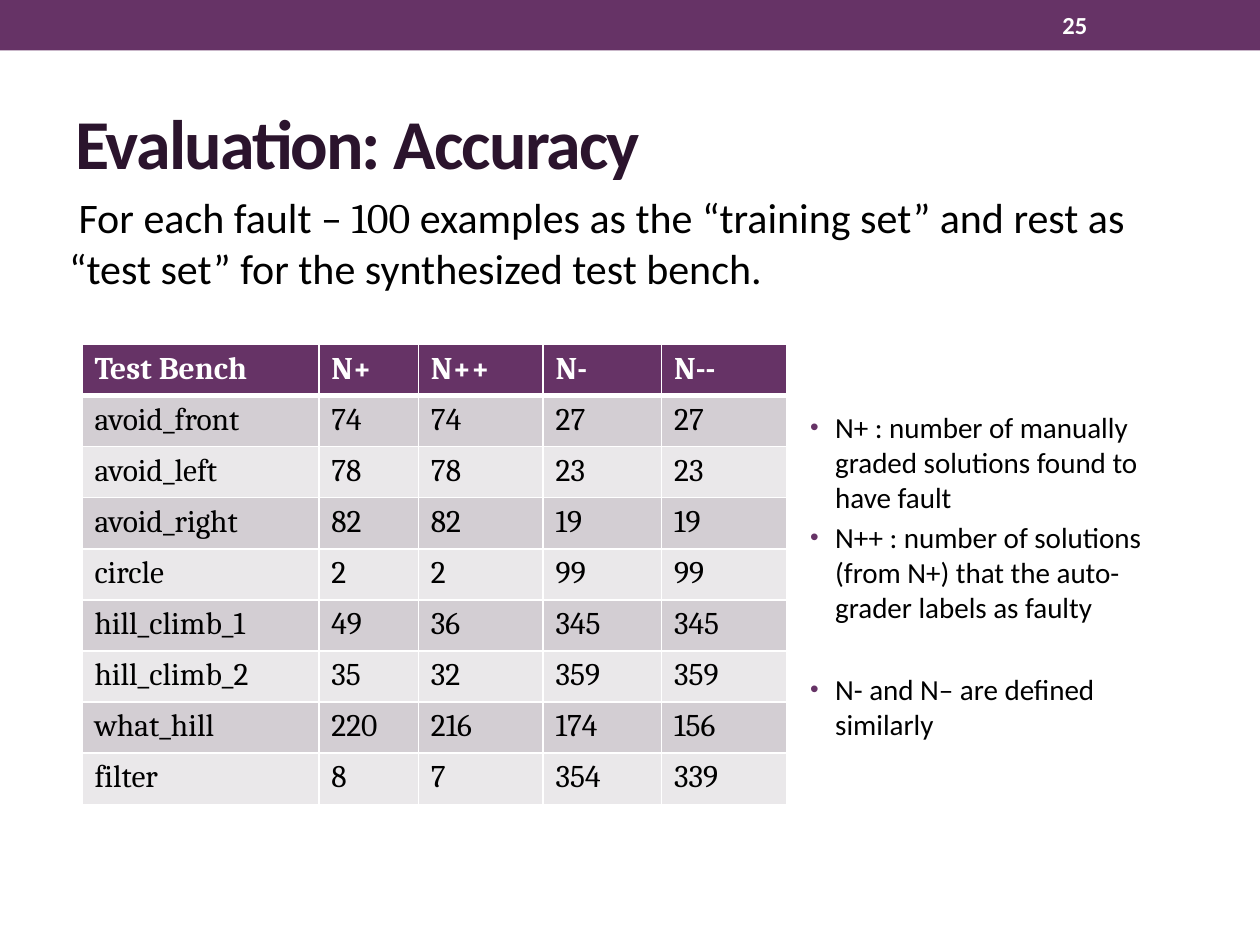
from dataclasses import dataclass
from lxml.etree import SubElement as Sub
from pptx import Presentation
from pptx.dml.color import RGBColor as RGB
from pptx.enum.shapes import MSO_SHAPE as Shape
from pptx.enum.text import MSO_ANCHOR as Anchor
from pptx.oxml.ns import qn
from pptx.util import Pt


@dataclass(frozen=True)
class Theme:
    plum: str = "663366"
    dark: str = "2B142D"
    ink: str = "000000"
    white: str = "FFFFFF"
    bands: tuple = ("D3CED3", "EAE8EA")
    sans: str = "Calibri"
    serif: str = "Cambria"
    title: float = 40
    lead: float = 24
    cell: float = 18
    note: float = 16.6
    page: float = 14


T = Theme()
HEAD = ["Test Bench", "N+", "N++", "N-", "N--"]
DATA = [
    ["avoid_front", 74, 74, 27, 27],
    ["avoid_left", 78, 78, 23, 23],
    ["avoid_right", 82, 82, 19, 19],
    ["circle", 2, 2, 99, 99],
    ["hill_climb_1", 49, 36, 345, 345],
    ["hill_climb_2", 35, 32, 359, 359],
    ["what_hill", 220, 216, 174, 156],
    ["filter", 8, 7, 354, 339],
]
COLS = [135.4, 56.9, 71.3, 67.7, 71.3]
NOTES = [
    ("N+ : number of manually graded solutions found to have fault", 0),
    ("N++ : number of solutions (from N+) that the auto-grader labels as faulty", 3.3),
    ("N- and N– are defined similarly", 26.8),
]
LEAD = [
    ("For each fault – ", T.sans),
    ("100", T.serif),
    (" examples as the “training set” and rest as “test set” for the synthesized test bench.", T.sans),
]


def style(run, size, color, face=T.sans, bold=False):
    font = run.font
    font.name, font.size, font.bold = face, Pt(size), bold
    font.color.rgb = RGB.from_string(color)


def add_box(slide, box, anchor=Anchor.TOP):
    frame = slide.shapes.add_textbox(*map(Pt, box)).text_frame
    frame.word_wrap = True
    frame.vertical_anchor = anchor
    return frame


def add_label(slide, box, text, size, color):
    frame = add_box(slide, box, Anchor.MIDDLE)
    frame.text = text
    run = frame.paragraphs[0].runs[0]
    style(run, size, color, bold=True)
    return run


def add_band(slide, box):
    left, top, width, height = box
    band = slide.shapes.add_shape(Shape.RECTANGLE, *map(Pt, box))
    band.shadow.inherit = False
    band.fill.solid()
    band.fill.fore_color.rgb = RGB.from_string(T.plum)
    band.line.fill.background()
    add_label(slide, (left + 600, top + 1.4, 84, height - 2.8), "25", T.page, T.white)


def add_title(slide, box):
    run = add_label(slide, box, "Evaluation: Accuracy", T.title, T.dark)
    run.font._element.set("spc", "-100")


def add_lead(slide, box):
    para = add_box(slide, box).paragraphs[0]
    para._p.get_or_add_pPr().set("indent", str(Pt(5.4)))
    for text, face in LEAD:
        run = para.add_run()
        run.text = text
        style(run, T.lead, T.ink, face)


def add_edges(cell, top, base):
    props = cell._tc.get_or_add_tcPr()
    for side, width in zip("LRTB", (1, 1, top, base)):
        line = Sub(props, qn(f"a:ln{side}"), w=str(Pt(width)))
        Sub(Sub(line, qn("a:solidFill")), qn("a:srgbClr"), val=T.white)


def add_grid(slide, box):
    rows = [HEAD] + DATA
    grid = slide.shapes.add_table(len(rows), len(HEAD), *map(Pt, box)).table
    for col, width in zip(grid.columns, COLS):
        col.width = Pt(width)
    for i, row in enumerate(rows):
        grid.rows[i].height = Pt(box[3] / len(rows))
        head = i == 0
        fill = T.plum if head else T.bands[(i - 1) % 2]
        for j, value in enumerate(row):
            cell = grid.cell(i, j)
            add_edges(cell, 3 if i == 1 else 1, 3 if head else 1)
            cell.fill.solid()
            cell.fill.fore_color.rgb = RGB.from_string(fill)
            cell.text_frame.text = str(value)
            run = cell.text_frame.paragraphs[0].runs[0]
            style(run, T.cell, T.white if head else T.ink, T.serif, head)


def add_bullet(para):
    props = para._p.get_or_add_pPr()
    props.set("marL", str(Pt(14.4)))
    props.set("indent", str(Pt(-14.4)))
    Sub(Sub(props, qn("a:buClr")), qn("a:srgbClr"), val=T.plum)
    Sub(props, qn("a:buSzPct"), val="85000")
    Sub(props, qn("a:buFont"), typeface="Arial")
    Sub(props, qn("a:buChar"), char="•")


def add_notes(slide, box):
    frame = add_box(slide, box)
    frame.text = "\n".join(text for text, gap in NOTES)
    for para, (text, gap) in zip(frame.paragraphs, NOTES):
        add_bullet(para)
        para.space_before = Pt(gap)
        style(para.runs[0], T.note, T.ink)


def main():
    deck = Presentation()
    deck.slide_width, deck.slide_height = Pt(720), Pt(540)
    slide = deck.slides.add_slide(deck.slide_layouts[6])
    add_band(slide, (0, 0, 720, 28.8))
    add_title(slide, (36, 42, 648, 78))
    add_grid(slide, (46.8, 196.8, sum(COLS), 262.8))
    add_notes(slide, (455.8, 230.4, 230.4, 199.4))
    add_lead(slide, (32.4, 106, 648, 91.4))
    deck.save("out.pptx")


if __name__ == "__main__":
    main()
